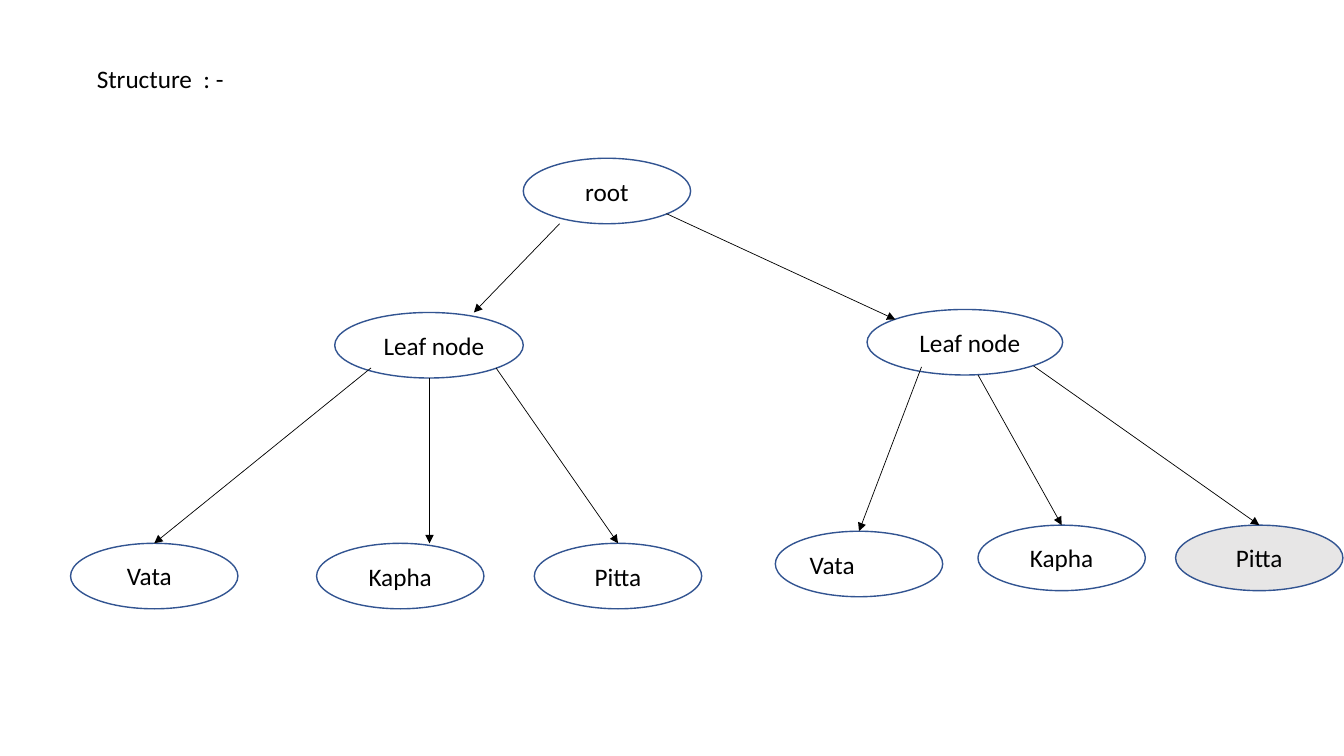
from dataclasses import dataclass

import lxml.etree
import pptx
import pptx.dml.color
import pptx.enum.shapes
import pptx.enum.text
import pptx.oxml.ns
import pptx.shapes.autoshape
import pptx.slide
import pptx.text.text
import pptx.util

Inches = pptx.util.Inches
Align = pptx.enum.text.PP_ALIGN
Anchor = pptx.enum.text.MSO_ANCHOR

COLORS = {"black": "000000", "white": "FFFFFF", "gray": "E7E6E6", "blue": "325491"}
FONT = "Calibri"
NODE_WIDTH = 1.66
NODE_HEIGHT = 0.65


@dataclass(frozen=True)
class Node:
    left: float
    top: float
    label: str = ""
    width: float = NODE_WIDTH
    fill: str = "white"
    align: Align = Align.CENTER
    margin_right: float = 0.1


@dataclass(frozen=True)
class Arrow:
    """An arrow that ends at the given point, or at the top of the target node."""

    start: tuple[float, float]
    target: str = ""
    end: tuple[float, float] = (0, 0)


NODES = {
    "root": Node(5.19, 1.57, "root"),
    "left leaf": Node(3.32, 3.1, "Leaf node", width=1.87, margin_right=0),
    "right leaf": Node(8.6, 3.07, "Leaf node", width=1.94, margin_right=0),
    "left vata": Node(0.7, 5.39),
    "left kapha": Node(3.14, 5.39, "Kapha"),
    "left pitta": Node(5.3, 5.39, "Pitta"),
    "right pitta": Node(11.66, 5.21, "Pitta", fill="gray"),
    "right kapha": Node(9.7, 5.21, "Kapha"),
    "right vata": Node(7.69, 5.27, "Vata", align=Align.LEFT),
}

ARROWS = [
    Arrow((5.55, 2.22), end=(4.7, 3.1)),
    Arrow((3.68, 3.65), "left vata"),
    Arrow((6.61, 2.12), end=(8.88, 3.17)),
    Arrow((4.92, 3.65), "left pitta"),
    Arrow((4.26, 3.75), end=(4.26, 5.39)),
    Arrow((10.25, 3.63), "right pitta"),
    Arrow((9.7, 3.72), "right kapha"),
    Arrow((9.14, 3.64), "right vata"),
]


def color(name: str) -> pptx.dml.color.RGBColor:
    return pptx.dml.color.RGBColor.from_string(COLORS[name])


def write_text(
    frame: pptx.text.text.TextFrame,
    text: str,
    *,
    align: Align = Align.LEFT,
    anchor: Anchor = Anchor.TOP,
    margin_right: float = 0.1,
) -> None:
    frame.word_wrap = True
    frame.auto_size = pptx.enum.text.MSO_AUTO_SIZE.NONE
    frame.vertical_anchor = anchor
    frame.margin_right = Inches(margin_right)
    paragraph = frame.paragraphs[0]
    paragraph.alignment = align
    run = paragraph.add_run()
    run.text = text
    run.font.name = FONT
    run.font.size = pptx.util.Pt(18)
    run.font.color.rgb = color("black")


def add_node(slide: pptx.slide.Slide, node: Node) -> pptx.shapes.autoshape.Shape:
    shape = slide.shapes.add_shape(
        pptx.enum.shapes.MSO_SHAPE.OVAL,
        Inches(node.left), Inches(node.top), Inches(node.width), Inches(NODE_HEIGHT),
    )
    shape.shadow.inherit = False
    shape.fill.solid()
    shape.fill.fore_color.rgb = color(node.fill)
    shape.line.color.rgb = color("blue")
    shape.line.width = pptx.util.Pt(1)
    if node.label:
        write_text(
            shape.text_frame, node.label, align=node.align,
            anchor=Anchor.MIDDLE, margin_right=node.margin_right,
        )
    return shape


def add_arrow(
    slide: pptx.slide.Slide,
    arrow: Arrow,
    shapes: dict[str, pptx.shapes.autoshape.Shape],
) -> None:
    connector = slide.shapes.add_connector(
        pptx.enum.shapes.MSO_CONNECTOR.STRAIGHT,
        *(Inches(length) for length in arrow.start + arrow.end),
    )
    if arrow.target:
        connector.end_connect(shapes[arrow.target], 0)
    connector.line.color.rgb = color("black")
    connector.line.width = pptx.util.Pt(0.5)
    qualified = pptx.oxml.ns.qn
    line = connector.line._get_or_add_ln()
    lxml.etree.SubElement(line, qualified("a:tailEnd"), type="triangle")
    lxml.etree.SubElement(connector._element.spPr, qualified("a:effectLst"))


def main() -> None:
    presentation = pptx.Presentation()
    presentation.slide_width = Inches(13.33)
    presentation.slide_height = Inches(7.5)
    slide = presentation.slides.add_slide(presentation.slide_layouts[5])

    title = slide.shapes.title
    title.left, title.top = Inches(0.86), Inches(0.58)
    title.width, title.height = Inches(2.57), Inches(0.4)
    write_text(title.text_frame, "Structure  : -")

    shapes = {name: add_node(slide, node) for name, node in NODES.items()}
    for arrow in ARROWS:
        add_arrow(slide, arrow, shapes)

    vata_label = slide.shapes.add_textbox(
        Inches(1.16), Inches(5.51), Inches(1.15), Inches(0.4)
    )
    write_text(vata_label.text_frame, "Vata")
    presentation.save("out.pptx")


if __name__ == "__main__":
    main()
